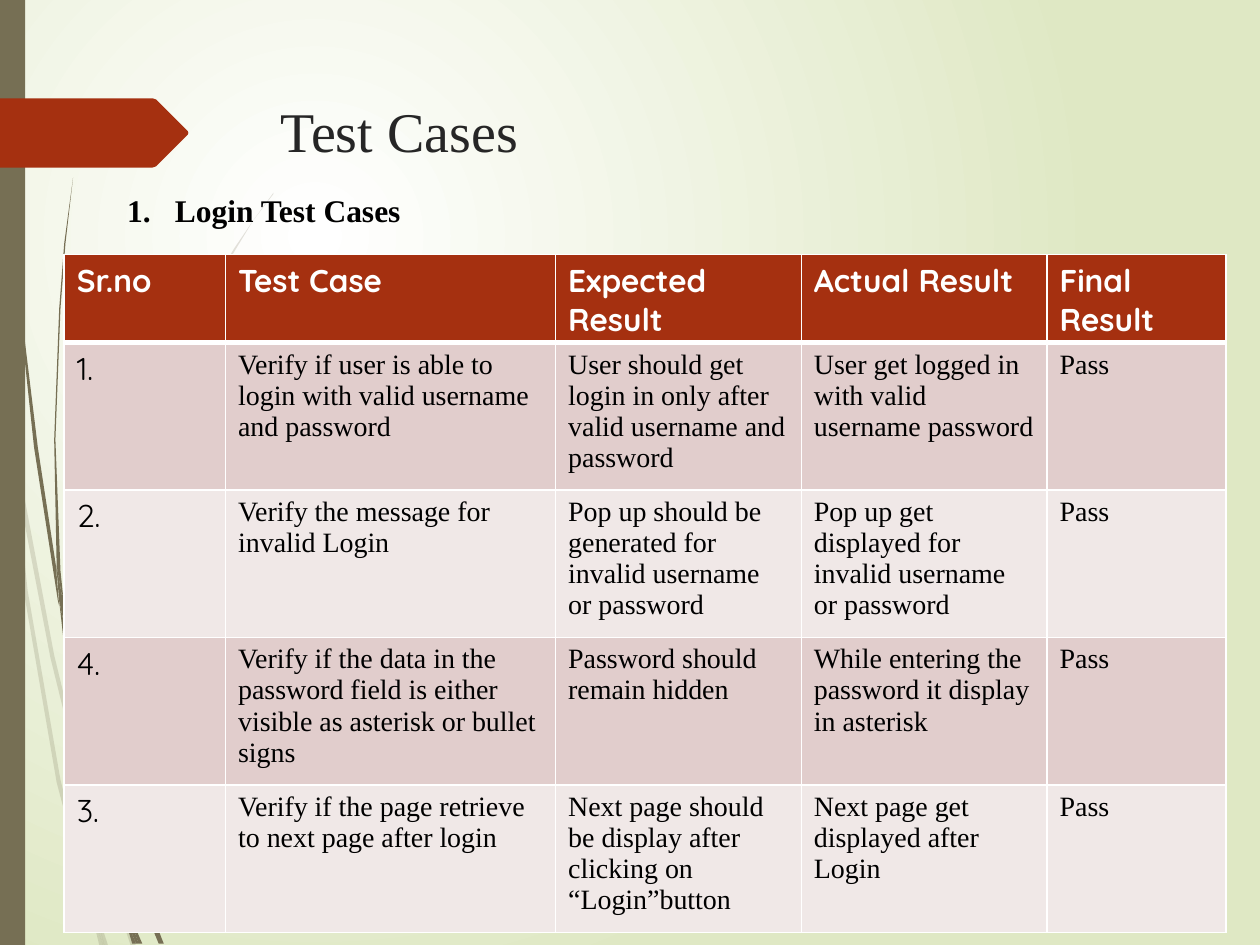
from dataclasses import dataclass

from pptx import Presentation
from pptx.dml.color import RGBColor
from pptx.enum.shapes import MSO_SHAPE
from pptx.enum.text import MSO_ANCHOR, MSO_AUTO_SIZE
from pptx.oxml.ns import qn
from pptx.oxml.xmlchemy import OxmlElement
from pptx.util import Inches, Pt

# The slide is a grid of 100 columns by 75 rows of square units
COLUMNS, ROWS, UNIT = 100, 75, 0.1

SERIF, ROUND = "Times New Roman", "Quicksand"
OLIVE, RUST, WHITE, BLACK = "766F54", "A53010", "FFFFFF", "000000"
PALE_GREEN, CHARCOAL = "DFE8C4", "262626"
BANDS = ("E1CDCC", "F0E8E7")


@dataclass(frozen=True)
class TextStyle:
    font: str
    size: int
    color: str
    bold: bool = False


@dataclass(frozen=True)
class Box:
    left: float
    top: float
    width: float
    height: float


TITLE = TextStyle(SERIF, 32, CHARCOAL)
SUBTITLE = TextStyle(SERIF, 18, BLACK, True)
HEADER = TextStyle(ROUND, 18, WHITE, True)
NUMBER = TextStyle(ROUND, 18, BLACK)
BODY = TextStyle(SERIF, 16, BLACK)

# Outlines of the grass blades, as grid points
FAINT_BLADES = [
    [(0.8, 35), (0.6, 32.2), (0, 28.2), (0, 29.9), (0.7, 34.4)],
    [(4, 52.2), (5.9, 59.9), (5.9, 58.6), (4.3, 52), (1, 34.5), (1.2, 37.6)],
    [(6.4, 60.7), (6.1, 59.6), (6.1, 61), (8.5, 69.4), (10.4, 75.1), (10.8, 75.1),
     (8.8, 69.2)],
    [(8.3, 75.1), (8.6, 75.1), (7.3, 71.1)],
    [(6.4, 68.3), (4.8, 61.9), (2.2, 46.9), (1.2, 37.6), (0.8, 35), (1.9, 47),
     (4.5, 62.1), (6.4, 69.3), (7, 71.4), (6.9, 70.7)],
    [(5.8, 59.9), (6, 64.6), (6.4, 68.3), (6.7, 69.2), (7.3, 71.1), (7.2, 70.6),
     (6.3, 64.6), (6.1, 61), (6.1, 60.8)],
    [(6.1, 58.4), (7.6, 46.2), (11.1, 34.9), (15.9, 24.5), (18.7, 19.8), (20.1, 17.5),
     (21.7, 15.4), (21.7, 15.3), (20.1, 17.5), (18.6, 19.7), (15.8, 24.4), (11, 34.8),
     (7.5, 46.1), (5.9, 58.4), (5.9, 58.6), (6.1, 59.6)],
    [(7, 71.4), (7.9, 75.1), (8.2, 75.1)],
    [(6.1, 60.8), (6.1, 61), (6.1, 59.6), (5.9, 58.6), (5.8, 59.9)],
    [(6.7, 69.2), (6.5, 68.3), (6.9, 70.7), (7, 71.4), (8.2, 75.1), (8.3, 75.1),
     (7.3, 71.1)],
]
SOLID_BLADES = [
    [(0.5, 11), (1.4, 23.3), (2.7, 35.5), (4.6, 47.7), (4.7, 48.1), (4.5, 45.7),
     (4.5, 45.3), (3, 35.5), (1.5, 23.2), (0.6, 10.9), (0.4, 4.8), (0.3, 0), (0.2, 0),
     (0.3, 4.8)],
    [(7.3, 59.2), (8.8, 64.5), (8.8, 63.3), (8.8, 63.1), (7.7, 59), (5, 47.2), (5.3, 50.5)],
    [(9.4, 64.9), (9.1, 64.1), (9.1, 65.6), (10.9, 70.8), (12.6, 74.9), (13, 74.9),
     (11.3, 70.6)],
    [(9.1, 69.1), (8.1, 65.7), (6, 55.6), (5.3, 50.5), (4.7, 47.7), (5.6, 55.7),
     (7.7, 65.9), (9.2, 70.8), (9.7, 72.2), (9.6, 71.7)],
    [(5, 47.2), (4.8, 45.3), (4.4, 34.9), (4.8, 24.5), (5.2, 19.3), (5.8, 14.1),
     (5.1, 19.3), (4.7, 24.5), (4.3, 34.9), (4.5, 44.9), (4.9, 47.2)],
    [(11, 74.9), (11.3, 74.9), (10, 71.9)],
    [(4.7, 47.7), (5.3, 50.5), (5, 47.2), (4.9, 47.2), (4.5, 44.9), (4.5, 45.3)],
    [(9.1, 63.3), (10.3, 55.2), (13.1, 47.6), (16.9, 40.6), (19.1, 37.4), (20.3, 35.9),
     (21.6, 34.4), (21.5, 34.4), (20.3, 35.8), (19.1, 37.3), (16.8, 40.5), (12.9, 47.4),
     (10.1, 55.1), (8.8, 63.1), (9.1, 64.1)],
    [(9.7, 72.2), (10.5, 74.9), (10.8, 74.9)],
    [(8.8, 64.5), (9.1, 69.1), (9.6, 70.6), (10, 71.9), (10, 71.6), (9.1, 65.6), (9, 65.1)],
    [(8.8, 64.5), (9, 65.1), (9.1, 65.6), (9.1, 64.1), (8.8, 63.1)],
    [(9.6, 70.6), (9.1, 69.1), (9.6, 71.7), (9.7, 72.2), (10.8, 74.9), (11, 74.9),
     (10, 71.9)],
]
ARROW_TAG = [(0, 7.8), (12.1, 7.8), (12.4, 7.9), (14.9, 10.4), (14.95, 10.55),
             (14.9, 10.7), (12.4, 13.2), (12.1, 13.3), (0, 13.3)]

# Test case table
TABLE_BOX = Box(5.1, 20.2, 92.2, 53.7)
COLUMN_WIDTHS = (12.8, 26.2, 19.5, 19.5, 14.2)
HEADER_HEIGHT = 6.9
TABLE_ROWS = [
    ("Sr.no", "Test Case", "Expected Result", "Actual Result", "Final Result"),
    ("1.", "Verify if user is able to login with valid username and password",
     "User should get login in only after valid username and password",
     "User get logged in with valid username password", "Pass"),
    ("2.", "Verify the message for invalid Login",
     "Pop up should be generated for invalid username or password",
     "Pop up get displayed for invalid username or password", "Pass"),
    ("4.", "Verify if the data in the password field is either visible as asterisk "
     "or bullet signs", "Password should remain hidden",
     "While entering the password it display in asterisk", "Pass"),
    ("3.", "Verify if the page retrieve to next page after login",
     "Next page should be display after clicking on “Login”button",
     "Next page get displayed after Login", "Pass"),
]


def grid(units: float) -> int:
    return Inches(units * UNIT)


def place(box: Box) -> tuple:
    return tuple(grid(side) for side in (box.left, box.top, box.width, box.height))


def rgb(color: str) -> RGBColor:
    return RGBColor.from_string(color)


def add_child(parent, tag: str, **attributes):
    child = OxmlElement(tag)
    for name, value in attributes.items():
        child.set(name, str(value))
    parent.append(child)
    return child


def paint(shape, color: str, opacity: int = 100) -> None:
    shape.shadow.inherit = False
    shape.fill.solid()
    shape.fill.fore_color.rgb = rgb(color)
    shape.line.fill.background()
    if opacity < 100:
        color_element = shape._element.spPr.find(qn("a:solidFill"))[0]
        add_child(color_element, "a:alpha", val=opacity * 1000)


def add_outline(slide, points: list, color: str, opacity: int = 100) -> None:
    start, *others = [(grid(x), grid(y)) for x, y in points]
    builder = slide.shapes.build_freeform(*start)
    builder.add_line_segments(others, close=True)
    paint(builder.convert_to_shape(), color, opacity)


def write(text_frame, text: str, style: TextStyle) -> None:
    text_frame.text = text
    text_frame.word_wrap = True
    font = text_frame.paragraphs[0].runs[0].font
    font.name, font.size, font.bold = style.font, Pt(style.size), style.bold
    font.color.rgb = rgb(style.color)


def add_text(slide, box: Box, text: str, style: TextStyle):
    text_frame = slide.shapes.add_textbox(*place(box)).text_frame
    write(text_frame, text, style)
    return text_frame


def add_borders(cell, top: int, bottom: int) -> None:
    properties = cell._tc.get_or_add_tcPr()
    for side, points in (("L", 1), ("R", 1), ("T", top), ("B", bottom)):
        line = add_child(properties, f"a:ln{side}", w=Pt(points))
        add_child(add_child(line, "a:solidFill"), "a:srgbClr", val=WHITE)


def add_test_table(slide) -> None:
    table = slide.shapes.add_table(
        len(TABLE_ROWS), len(COLUMN_WIDTHS), *place(TABLE_BOX)).table
    for column, width in zip(table.columns, COLUMN_WIDTHS):
        column.width = grid(width)
    body_height = (TABLE_BOX.height - HEADER_HEIGHT) / (len(TABLE_ROWS) - 1)
    for row, texts in enumerate(TABLE_ROWS):
        table.rows[row].height = grid(body_height if row else HEADER_HEIGHT)
        for column, text in enumerate(texts):
            cell = table.cell(row, column)
            style = HEADER if row == 0 else BODY if column else NUMBER
            write(cell.text_frame, text, style)
            add_borders(cell, top=3 if row == 1 else 1, bottom=1 if row else 3)
            cell.fill.solid()
            cell.fill.fore_color.rgb = rgb(BANDS[(row - 1) % 2] if row else RUST)


def set_background(slide) -> None:
    fill = slide.background.fill
    fill.gradient()
    for stop, color, position in zip(fill.gradient_stops, (WHITE, PALE_GREEN), (0, 1)):
        stop.color.rgb, stop.position = rgb(color), position
    gradient = slide._element.find(".//" + qn("a:gradFill"))
    gradient.remove(gradient.find(qn("a:lin")))
    circle = add_child(gradient, "a:path", path="circle")
    add_child(circle, "a:fillToRect", l=50000, t=50000, r=100000, b=100000)


def main() -> None:
    presentation = Presentation()
    presentation.slide_width, presentation.slide_height = grid(COLUMNS), grid(ROWS)
    slide = presentation.slides.add_slide(presentation.slide_layouts[6])
    set_background(slide)

    # Grass, side bar and arrow tag
    for blades, opacity in ((FAINT_BLADES, 20), (SOLID_BLADES, 100)):
        for points in blades:
            add_outline(slide, points, OLIVE, opacity)
    side_bar = slide.shapes.add_shape(MSO_SHAPE.RECTANGLE, *place(Box(0, 0, 2, ROWS)))
    paint(side_bar, OLIVE)
    add_outline(slide, ARROW_TAG, RUST)

    # Title and numbered subtitle
    title = add_text(slide, Box(21.3, 6.8, 72.1, 7), "Test Cases", TITLE)
    title.vertical_anchor = MSO_ANCHOR.MIDDLE
    subtitle = add_text(slide, Box(9.1, 14.7, 37.8, 4), "Login Test Cases", SUBTITLE)
    subtitle.auto_size = MSO_AUTO_SIZE.SHAPE_TO_FIT_TEXT
    properties = subtitle.paragraphs[0]._p.get_or_add_pPr()
    properties.set("marL", str(grid(3.8)))
    properties.set("indent", str(-grid(3.8)))
    add_child(properties, "a:buAutoNum", type="arabicPeriod")

    add_test_table(slide)
    presentation.save("out.pptx")


if __name__ == "__main__":
    main()
